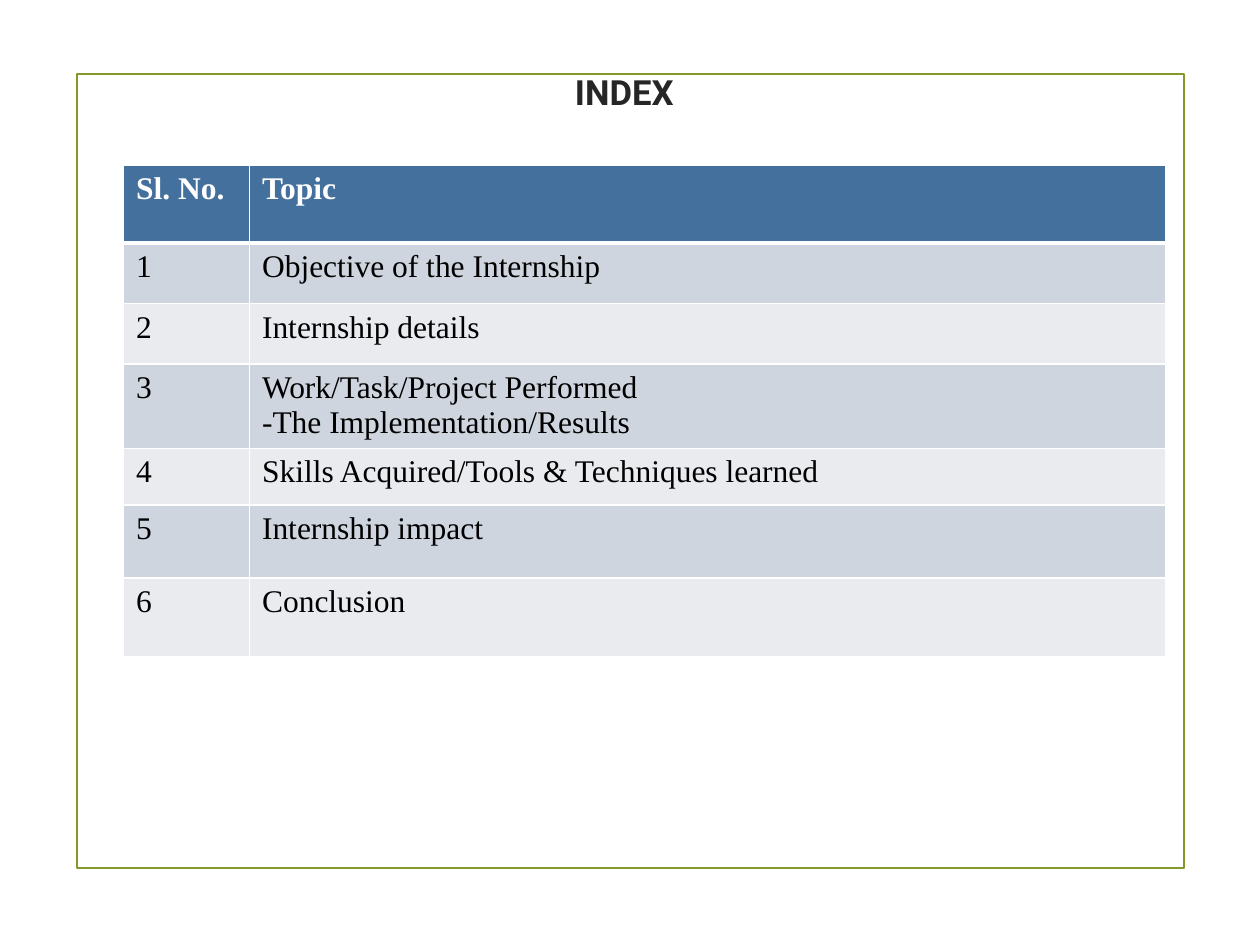
from dataclasses import dataclass

from lxml.etree import SubElement
from pptx import Presentation
from pptx.dml.color import RGBColor
from pptx.enum.shapes import MSO_SHAPE
from pptx.enum.text import MSO_ANCHOR, PP_ALIGN
from pptx.oxml.ns import qn
from pptx.util import Inches, Pt


@dataclass(frozen=True)
class Theme:
    frame: str = "83992A"
    title: str = "262626"
    head: str = "44709D"
    bands: tuple = ("CFD5DF", "E9EBEF")
    white: str = "FFFFFF"
    black: str = "000000"
    title_font: str = "Roboto"
    body_font: str = "Times New Roman"
    title_size: float = 19.8
    body_size: float = 18


THEME = Theme()
TOPICS = [
    "Objective of the Internship",
    "Internship details",
    "Work/Task/Project Performed\n-The Implementation/Results",
    "Skills Acquired/Tools & Techniques learned",
    "Internship impact",
    "Conclusion",
]
WIDTHS = [1, 7.27]
HEIGHTS = [0.62, 0.48, 0.48, 0.67, 0.45, 0.58, 0.62]


def style(para, face, size, color, bold=False):
    font = para.font
    font.name, font.size, font.bold = face, Pt(size), bold
    font.color.rgb = RGBColor.from_string(color)


def add_frame(slide):
    frame = slide.shapes.add_shape(
        MSO_SHAPE.RECTANGLE, Inches(0.61), Inches(0.59), Inches(8.79), Inches(6.3))
    frame.shadow.inherit = False
    frame.fill.background()
    frame.line.color.rgb = RGBColor.from_string(THEME.frame)
    frame.line.width = Pt(1.25)


def set_title(slide, text):
    title = slide.shapes.title
    title.left, title.top = Inches(0.98), Inches(0.3)
    title.width, title.height = Inches(7.95), Inches(0.85)
    title.text_frame.text = text
    title.text_frame.vertical_anchor = MSO_ANCHOR.MIDDLE
    para = title.text_frame.paragraphs[0]
    para.alignment = PP_ALIGN.CENTER
    style(para, THEME.title_font, THEME.title_size, THEME.title, True)


def add_edge(cell, side, width):
    props = cell._tc.get_or_add_tcPr()
    line = SubElement(props, qn(f"a:ln{side}"), w=str(Pt(width)))
    fill = SubElement(line, qn("a:solidFill"))
    SubElement(fill, qn("a:srgbClr"), val=THEME.white)


def fill_cell(cell, text, row):
    head = row == 0
    # The rule under the header is thicker than the other borders
    edges = {"L": 1, "R": 1, "T": 3 if row == 1 else 1, "B": 3 if head else 1}
    for side, width in edges.items():
        add_edge(cell, side, width)
    color = THEME.head if head else THEME.bands[(row - 1) % 2]
    cell.fill.solid()
    cell.fill.fore_color.rgb = RGBColor.from_string(color)
    cell.text = text
    for para in cell.text_frame.paragraphs:
        style(para, THEME.body_font, THEME.body_size,
              THEME.white if head else THEME.black, head)


def add_index(slide):
    rows = [("Sl. No.", "Topic")]
    rows += [(str(num), topic) for num, topic in enumerate(TOPICS, 1)]
    table = slide.shapes.add_table(
        len(rows), len(WIDTHS), Inches(0.98), Inches(1.31),
        Inches(sum(WIDTHS)), Inches(sum(HEIGHTS))).table
    for col, width in zip(table.columns, WIDTHS):
        col.width = Inches(width)
    for row, (height, texts) in enumerate(zip(HEIGHTS, rows)):
        table.rows[row].height = Inches(height)
        for col, text in enumerate(texts):
            fill_cell(table.cell(row, col), text, row)


def main():
    deck = Presentation()
    deck.slide_width, deck.slide_height = Inches(10), Inches(7.5)
    slide = deck.slides.add_slide(deck.slide_layouts[5])
    # Border and heading
    add_frame(slide)
    set_title(slide, "INDEX")
    # Table of topics
    add_index(slide)
    deck.save("out.pptx")


if __name__ == "__main__":
    main()
